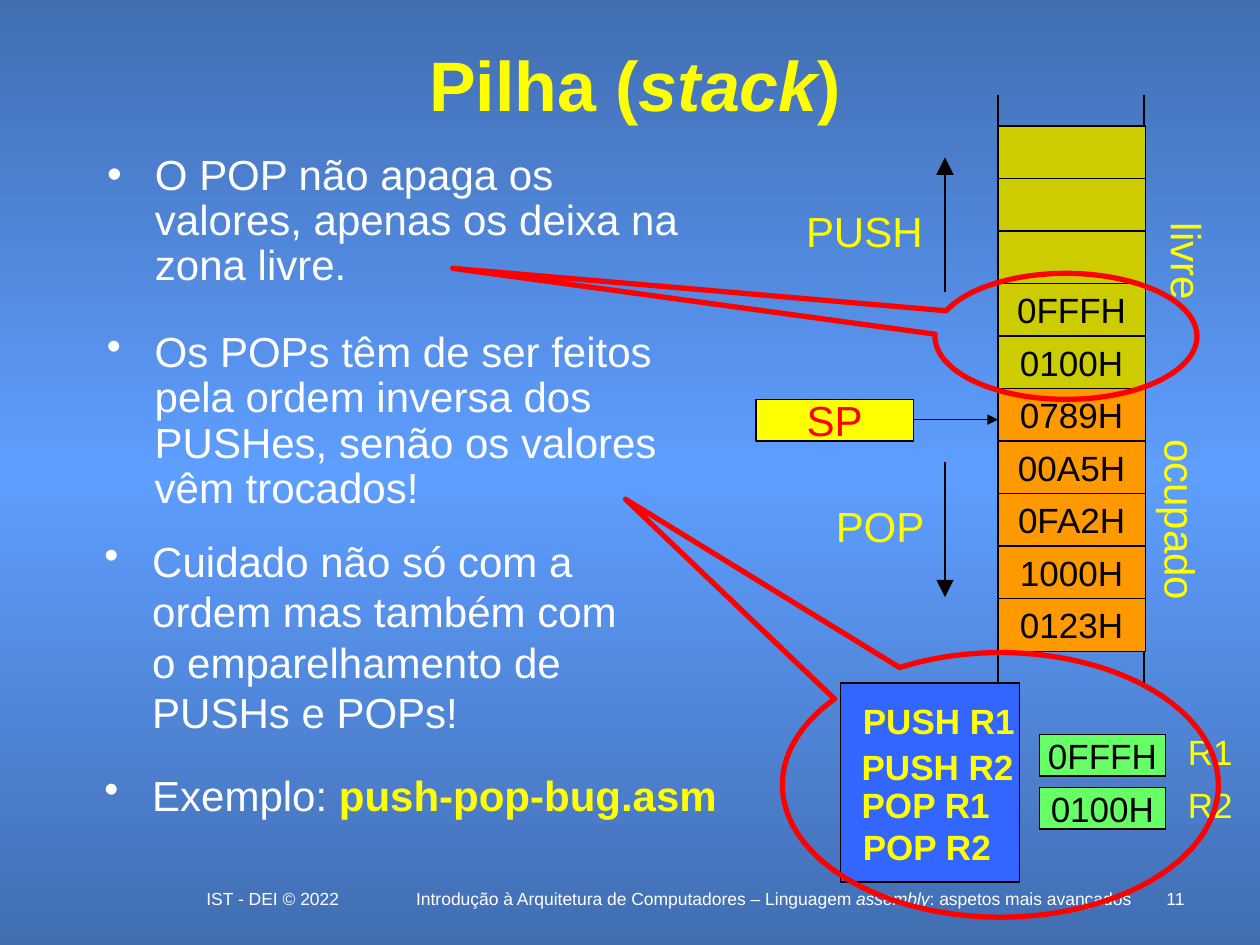
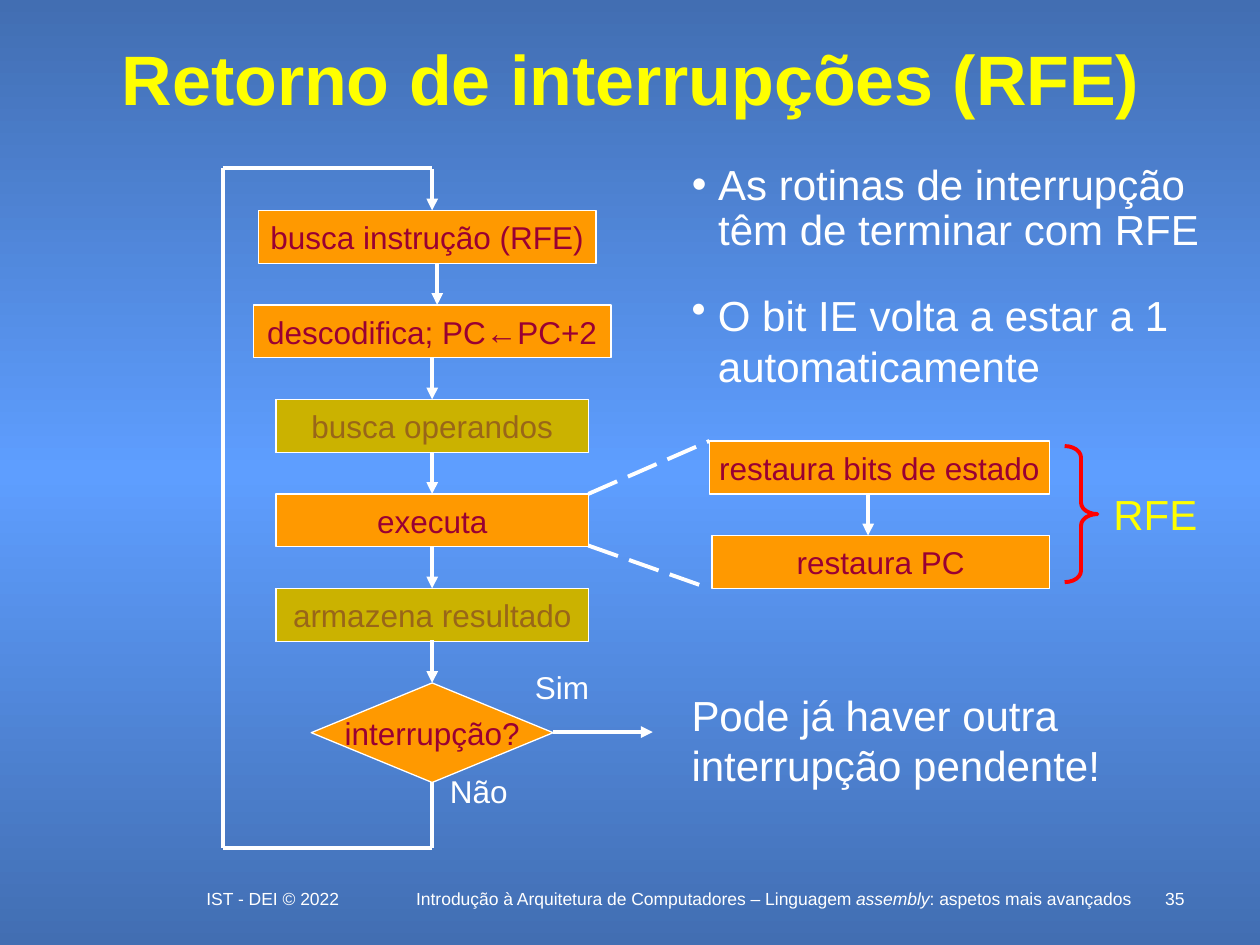
from copy import deepcopy

from lxml.etree import SubElement
from pptx import Presentation
from pptx.dml.color import RGBColor
from pptx.enum.dml import MSO_LINE
from pptx.enum.shapes import MSO_CONNECTOR, MSO_SHAPE as Kind
from pptx.enum.text import MSO_ANCHOR as Anchor, MSO_AUTO_SIZE, PP_ALIGN as Align
from pptx.oxml.ns import qn
from pptx.util import Inches, Pt

FONT = "Arial"
EDGE_BLUE = RGBColor(0x42, 0x6E, 0xB2)
MID_BLUE = RGBColor(0x5E, 0x9E, 0xFF)
CODE_BLUE = RGBColor(0x33, 0x66, 0xFF)
YELLOW = RGBColor(0xFF, 0xFF, 0x00)
WHITE = RGBColor(0xFF, 0xFF, 0xFF)
BLACK = RGBColor(0x00, 0x00, 0x00)
RED = RGBColor(0xFF, 0x00, 0x00)
WINE = RGBColor(0x99, 0x00, 0x33)
ORANGE = RGBColor(0xFF, 0x99, 0x00)
OLIVE = RGBColor(0xCC, 0xCC, 0x00)
GREEN = RGBColor(0x66, 0xFF, 0x66)
LIME = RGBColor(0x99, 0xCC, 0x00)


class Lecture:
    """Holds the deck style and the current page."""

    def __init__(self):
        self.deck = Presentation()
        self.deck.slide_width, self.deck.slide_height = Inches(10), Inches(7.5)
        self.page = None
        self.paint_background()

    def paint_background(self):
        master = self.deck.slide_master
        fill = master.background.fill
        fill.gradient()
        fill.gradient_angle = 90
        stops = master.element.find(".//" + qn("a:gsLst"))
        stops.insert(1, deepcopy(stops[0]))
        colors = (EDGE_BLUE, MID_BLUE, EDGE_BLUE)
        for stop, position, color in zip(fill.gradient_stops, (0, 0.5, 1), colors):
            stop.position = position
            stop.color.rgb = color

    def new_page(self, title, title_at, number):
        self.page = self.deck.slides.add_slide(self.deck.slide_layouts[1])
        self.placeholder(0, title_at, title, size=40, color=YELLOW, bold=True,
                         align=Align.CENTER, anchor=Anchor.MIDDLE)
        # Footer
        self.label((1.33, 7, 1.67, 0.25), "IST - DEI © 2022", size=10, wrap=True)
        self.label((3.17, 7, 5.94, 0.25), [
            ("Introdução à Arquitetura de Computadores – Linguagem ", {}),
            ("assembly", {"italic": True}),
            (": aspetos mais avançados", {})], size=10, wrap=True)
        self.label((9.08, 7, 0.42, 0.17), str(number), size=10,
                   align=Align.RIGHT, wrap=True)

    def set_text(self, frame, spans, size=24, color=WHITE, bold=False,
                 align=Align.LEFT, anchor=Anchor.TOP, wrap=True, indent=0,
                 leading=1.0):
        frame.auto_size = MSO_AUTO_SIZE.NONE
        frame.word_wrap = wrap
        frame.vertical_anchor = anchor
        para = frame.paragraphs[0]
        para.alignment = align
        para.line_spacing = leading
        para.space_before = Pt(0)
        if indent:
            props = para._p.get_or_add_pPr()
            props.set("marL", str(Inches(indent)))
            props.set("indent", str(-Inches(indent)))
            SubElement(props, qn("a:buChar")).set("char", "•")
        font = para.font
        font.name, font.size, font.bold = FONT, Pt(size), bold
        font.color.rgb = color
        for text, style in [(spans, {})] if isinstance(spans, str) else spans:
            span = para.add_run()
            span.text = text
            if "italic" in style:
                span.font.italic = style["italic"]
            if "bold" in style:
                span.font.bold = style["bold"]
            if "color" in style:
                span.font.color.rgb = style["color"]

    def placeholder(self, index, at, spans, **style):
        box = self.page.placeholders[index]
        box.left, box.top, box.width, box.height = map(Inches, at)
        self.set_text(box.text_frame, spans, **style)

    def label(self, at, spans, rotation=0, **style):
        box = self.page.shapes.add_textbox(*map(Inches, at))
        box.rotation = rotation
        self.set_text(box.text_frame, spans,
                      **{"align": Align.CENTER, "wrap": False, **style})

    def bullet(self, at, spans, indent, **style):
        self.label(at, spans, indent=indent, align=Align.LEFT, wrap=True, **style)

    def shape(self, at, text="", kind=Kind.RECTANGLE, fill=None, alpha=None,
              line=BLACK, weight=0.75, adjust=(), color=BLACK, size=20):
        box = self.page.shapes.add_shape(kind, *map(Inches, at))
        box.shadow.inherit = False
        for position, value in enumerate(adjust):
            box.adjustments[position] = value
        if fill is None:
            box.fill.background()
        else:
            box.fill.solid()
            box.fill.fore_color.rgb = fill
        if alpha is not None:
            tint = box._element.spPr.find(qn("a:solidFill"))[0]
            SubElement(tint, qn("a:alpha")).set("val", str(alpha * 1000))
        box.line.color.rgb = line
        box.line.width = Pt(weight)
        if text:
            self.set_text(box.text_frame, text, size=size, color=color,
                          align=Align.CENTER, anchor=Anchor.MIDDLE, wrap=False)

    def line(self, start, end, color=WHITE, weight=2.25, head=None, dash=None):
        link = self.page.shapes.add_connector(
            MSO_CONNECTOR.STRAIGHT, *map(Inches, (*start, *end)))
        link.line.color.rgb = color
        link.line.width = Pt(weight)
        if dash:
            link.line.dash_style = dash
        props = link._element.spPr
        if head:
            tail = SubElement(props.find(qn("a:ln")), qn("a:tailEnd"))
            tail.set("type", "triangle")
            tail.set("w", head)
            tail.set("len", head)
        SubElement(props, qn("a:effectLst"))


def stack_page(lecture):
    lecture.new_page([("Pilha (", {}), ("stack", {"italic": True}), (")", {})],
                     (0.75, 0.33, 8.58, 0.67), 11)

    # Directions of the stack
    lecture.label((9.01, 1.82, 0.82, 0.51), "livre", rotation=90, color=YELLOW)
    lecture.label((8.62, 3.87, 1.5, 0.51), "ocupado", rotation=90, color=YELLOW)
    lecture.label((6.29, 1.58, 1.14, 0.51), "PUSH", color=YELLOW)
    lecture.label((6.53, 3.92, 0.91, 0.51), "POP", color=YELLOW)
    for start, end in ((2.32, 1.25), (3.67, 4.74)):
        lecture.line((7.5, start), (7.5, end), BLACK, 0.75, head="lg")

    # Registers
    for row, (name, value) in enumerate((("R1", "0FFFH"), ("R2", "0100H"))):
        top = 5.83 + row * 0.42
        lecture.shape((8.25, top, 1, 0.33), value, fill=GREEN)
        lecture.label((9.33, top - 0.08, 0.67, 0.43), name, size=20, color=YELLOW,
                      align=Align.LEFT, wrap=True)

    # Memory cells
    for side in (7.92, 9.08):
        lecture.line((side, 0.75), (side, 5.42), BLACK, 0.75)
    free = ["", "", "", "0FFFH", "0100H"]
    used = ["0789H", "00A5H", "0FA2H", "1000H", "0123H"]
    for row, value in enumerate(free + used):
        lecture.shape((7.92, 1 + row * 5 / 12, 1.17, 0.42), value,
                      fill=OLIVE if row < len(free) else ORANGE)

    # Code
    lecture.shape((6.67, 5.42, 1.42, 1.58), fill=CODE_BLUE)
    for left, top, code in ((6.75, 5.5, "PUSH R1"), (6.74, 5.87, "PUSH R2"),
                            (6.74, 6.17, "POP R1"), (6.75, 6.5, "POP R2")):
        lecture.label((left, top, 1.47, 0.43), code, size=20, color=YELLOW,
                      bold=True, align=Align.LEFT, wrap=True)

    # Stack pointer
    lecture.shape((6, 3.17, 1.25, 0.33), "SP", fill=YELLOW, color=RED, size=24)
    lecture.line((7.25, 3.33), (7.92, 3.33), BLACK, 0.75, head="med")

    # Remarks
    lecture.placeholder(1, (0.75, 1.17, 4.83, 1.42),
                        "O POP não apaga os valores, apenas os deixa na zona livre.",
                        indent=0.38, leading=0.9)
    lecture.bullet((0.75, 2.58, 4.83, 1.62),
                   "Os POPs têm de ser feitos pela ordem inversa dos PUSHes, "
                   "senão os valores vêm trocados!", 0.38, leading=0.9)
    lecture.bullet((0.73, 4.2, 4.48, 1.3),
                   "Cuidado não só com a ordem mas também com o emparelhamento "
                   "de PUSHs e POPs!", 0.38)
    lecture.bullet((0.73, 6.06, 5.14, 0.47),
                   [("Exemplo: ", {}),
                    ("push-pop-bug.asm", {"bold": True, "color": YELLOW})], 0.38)

    # Callouts
    for at, tip in (((7.42, 2.17, 2.08, 1), (-2.34, -0.54)),
                    ((6.21, 5.18, 3.46, 2.1), (-0.86, -1.08))):
        lecture.shape(at, kind=Kind.OVAL_CALLOUT, line=RED, weight=3, adjust=tip)


def interrupt_page(lecture):
    lecture.new_page("Retorno de interrupções (RFE)", (0.67, 0.24, 8.67, 0.75), 35)
    axis, height, gap = 3.43, 0.42, 0.33

    def step(left, top, width, text):
        lecture.shape((left, top, width, height), text, fill=ORANGE, line=WHITE,
                      color=WINE, size=18)

    # Instruction cycle: label, left, width, arrow position, skipped
    steps = (("busca instrução (RFE)", 2.05, 2.68, axis, False),
             ("descodifica; PC←PC+2", 2.01, 2.84, 3.47, False),
             ("busca operandos", 2.19, 2.48, axis, True),
             ("executa", 2.19, 2.48, axis, False),
             ("armazena resultado", 2.19, 2.48, axis, True))
    for row, (text, left, width, arrow, skipped) in enumerate(steps):
        top = 1.67 + row * 0.75
        lecture.line((arrow, top - gap), (arrow, top), head="med")
        step(left, top, width, text)
        if skipped:
            lecture.shape((left, top, width, height), fill=LIME, alpha=50, line=WHITE)

    # Interrupt test
    lecture.line((axis, 5.08), (axis, 5.42), head="med")
    lecture.shape((2.47, 5.42, 1.92, 0.79), "interrupção?", kind=Kind.DIAMOND,
                  fill=ORANGE, line=WHITE, color=WINE, size=18)
    lecture.line((4.39, 5.81), (5.18, 5.81), head="med")
    lecture.label((4.14, 5.25, 0.64, 0.4), "Sim", size=18)
    lecture.label((3.47, 6.08, 0.66, 0.4), "Não", size=18)

    # Way back to the start
    corners = ((axis, 6.21), (axis, 6.73), (1.77, 6.73), (1.77, 1.33), (axis, 1.33))
    for start, end in zip(corners, corners[1:]):
        lecture.line(start, end)

    # Detail of the execution step
    for start, end in ((3.92, 3.5), (4.33, 4.67)):
        lecture.line((4.67, start), (5.63, end), dash=MSO_LINE.LONG_DASH)
    step(5.63, 3.5, 2.7, "restaura bits de estado")
    lecture.line((6.89, 3.92), (6.89, 4.25), head="med")
    step(5.65, 4.25, 2.68, "restaura PC")
    lecture.shape((8.45, 3.54, 0.26, 1.08), kind=Kind.RIGHT_BRACE, line=RED,
                  weight=2.25, adjust=(0.35, 0.5))
    lecture.label((8.73, 3.83, 0.88, 0.51), "RFE", color=YELLOW)

    # Remarks
    lecture.placeholder(1, (5.39, 1.25, 4.42, 0.83),
                        "As rotinas de interrupção têm de terminar com RFE",
                        indent=0.21, leading=0.9)
    lecture.bullet((5.39, 2.25, 4.1, 0.91),
                   "O bit IE volta a estar a 1 automaticamente", 0.21)
    lecture.label((5.39, 5.42, 3.67, 1.21), "Pode já haver outra interrupção pendente!",
                  align=Align.LEFT, wrap=True)


def main():
    lecture = Lecture()
    stack_page(lecture)
    interrupt_page(lecture)
    lecture.deck.save("out.pptx")


if __name__ == "__main__":
    main()
